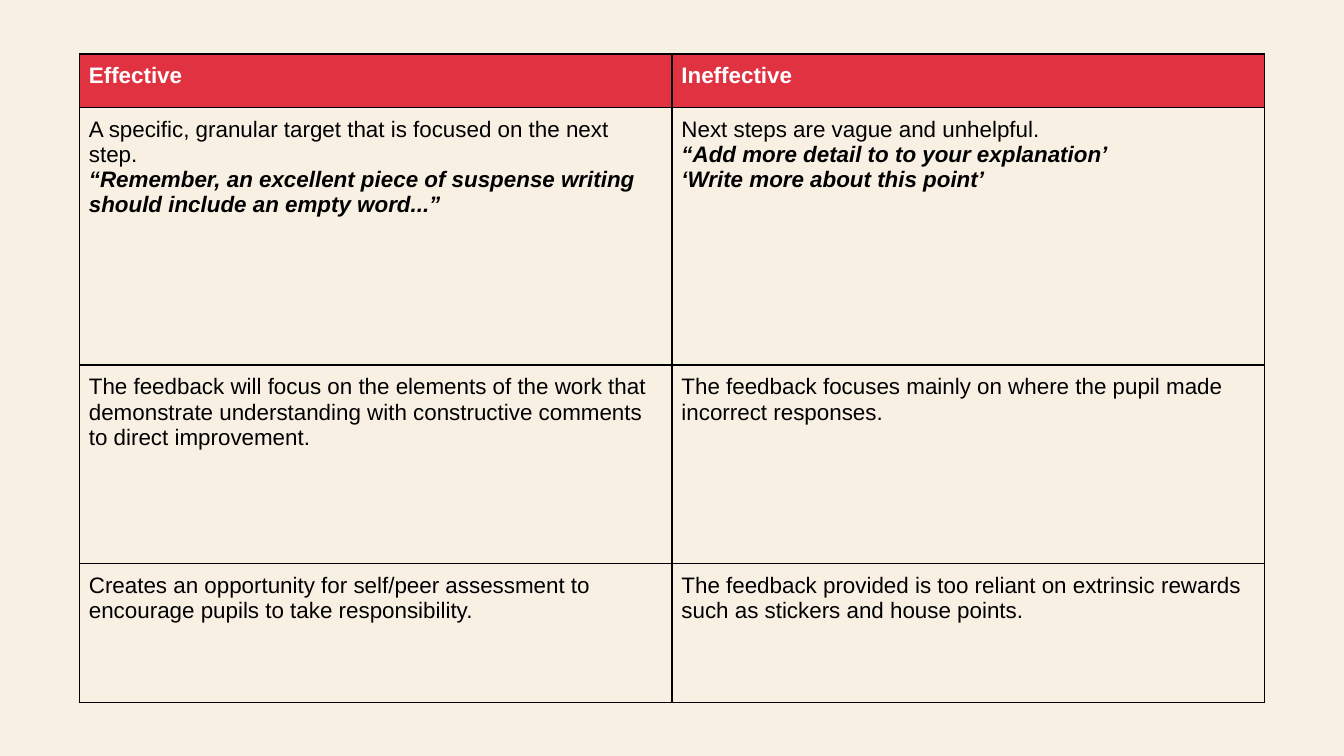
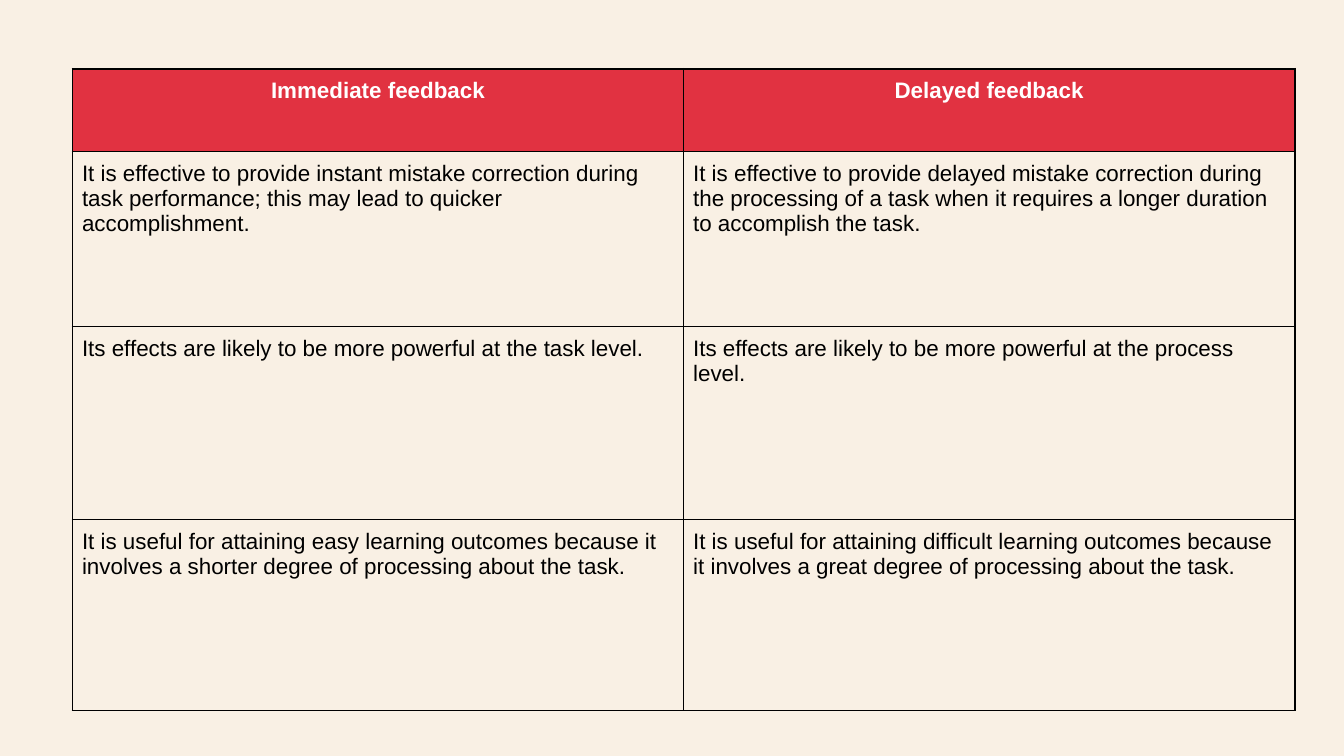
from dataclasses import dataclass

from lxml.etree import SubElement
from pptx import Presentation
from pptx.dml.color import RGBColor
from pptx.enum.text import MSO_ANCHOR, PP_ALIGN
from pptx.oxml.ns import qn
from pptx.util import Cm, Pt


@dataclass(frozen=True)
class Theme:
    background: str = "F9F0E4"
    header_fill: str = "E13241"
    header_text: str = "FFFFFF"
    body_text: str = "000000"
    border: str = "000000"
    border_width: int = Pt(1)
    font: str = "Arial"
    text_size: int = Pt(12)
    inset: int = Cm(0.18)


THEME = Theme()
HEADER = {"bold": True, "italic": False}
BODY = {"bold": False, "italic": False}
QUOTE = {"bold": True, "italic": True}

EFFECTIVENESS = [
    ("Effective", "Ineffective"),
    (
        [
            ("A specific, granular target that is focused on the next step.", BODY),
            ("“Remember, an excellent piece of suspense writing should include "
             "an empty word...”", QUOTE),
        ],
        [
            ("Next steps are vague and unhelpful.", BODY),
            ("“Add more detail to to your explanation’", QUOTE),
            ("‘Write more about this point’", QUOTE),
        ],
    ),
    (
        "The feedback will focus on the elements of the work that demonstrate "
        "understanding with constructive comments to direct improvement.",
        "The feedback focuses mainly on where the pupil made incorrect responses.",
    ),
    (
        "Creates an opportunity for self/peer assessment to encourage pupils "
        "to take responsibility.",
        "The feedback provided is too reliant on extrinsic rewards such as "
        "stickers and house points.",
    ),
]

TIMING = [
    ("Immediate feedback", "Delayed feedback"),
    (
        "It is effective to provide instant mistake correction during task "
        "performance; this may lead to quicker accomplishment.",
        "It is effective to provide delayed mistake correction during the "
        "processing of a task when it requires a longer duration to accomplish "
        "the task.",
    ),
    (
        "Its effects are likely to be more powerful at the task level.",
        "Its effects are likely to be more powerful at the process level.",
    ),
    (
        "It is useful for attaining easy learning outcomes because it involves "
        "a shorter degree of processing about the task.",
        "It is useful for attaining difficult learning outcomes because it "
        "involves a great degree of processing about the task.",
    ),
]


def set_attrs(obj, values):
    for name, value in values.items():
        setattr(obj, name, value)


def add_slide(prs):
    s = prs.slides.add_slide(prs.slide_layouts[6])
    s.background.fill.solid()
    s.background.fill.fore_color.rgb = RGBColor.from_string(THEME.background)
    return s


def add_borders(cell):
    tc_pr = cell._tc.get_or_add_tcPr()
    for side in ("lnL", "lnR", "lnT", "lnB"):
        ln = SubElement(tc_pr, qn(f"a:{side}"), w=str(THEME.border_width))
        fill = SubElement(ln, qn("a:solidFill"))
        SubElement(fill, qn("a:srgbClr"), val=THEME.border)


def write_paragraphs(tf, paragraphs, color, align):
    for i, (text, style) in enumerate(paragraphs):
        p = tf.paragraphs[0] if i == 0 else tf.add_paragraph()
        p.alignment = align
        r = p.add_run()
        r.text = text
        set_attrs(r.font, {"name": THEME.font, "size": THEME.text_size, **style})
        r.font.color.rgb = RGBColor.from_string(color)


def format_cell(cell, content, is_header, align):
    """Fill one cell; content is plain text or a list of (text, style)."""
    sides = ("left", "right", "top", "bottom")
    set_attrs(cell, {f"margin_{side}": THEME.inset for side in sides})
    cell.vertical_anchor = MSO_ANCHOR.TOP
    add_borders(cell)
    if is_header:
        cell.fill.solid()
        cell.fill.fore_color.rgb = RGBColor.from_string(THEME.header_fill)
    else:
        cell.fill.background()
    if isinstance(content, str):
        content = [(content, HEADER if is_header else BODY)]
    color = THEME.header_text if is_header else THEME.body_text
    write_paragraphs(cell.text_frame, content, color, align)


def add_comparison(s, rows, left, top, col_width, row_heights,
                   header_align=PP_ALIGN.LEFT):
    """Add a table with a coloured header row; lengths are in centimetres."""
    n_cols = len(rows[0])
    table = s.shapes.add_table(
        len(rows), n_cols, Cm(left), Cm(top),
        Cm(col_width * n_cols), Cm(sum(row_heights)),
    ).table
    set_attrs(table, {"first_row": False, "horz_banding": False})
    for col in table.columns:
        col.width = Cm(col_width)
    for i, (contents, height) in enumerate(zip(rows, row_heights)):
        table.rows[i].height = Cm(height)
        align = header_align if i == 0 else PP_ALIGN.LEFT
        for j, content in enumerate(contents):
            format_cell(table.cell(i, j), content, i == 0, align)


def main():
    prs = Presentation()
    set_attrs(prs, {"slide_width": Cm(25.4), "slide_height": Cm(14.29)})
    add_comparison(add_slide(prs), EFFECTIVENESS, left=1.5, top=1.02,
                   col_width=11.2, row_heights=(1.01, 4.87, 3.75, 2.63))
    add_comparison(add_slide(prs), TIMING, left=1.37, top=1.3,
                   col_width=11.55, row_heights=(1.56, 3.31, 3.65, 3.61),
                   header_align=PP_ALIGN.CENTER)
    prs.save("out.pptx")


if __name__ == "__main__":
    main()
